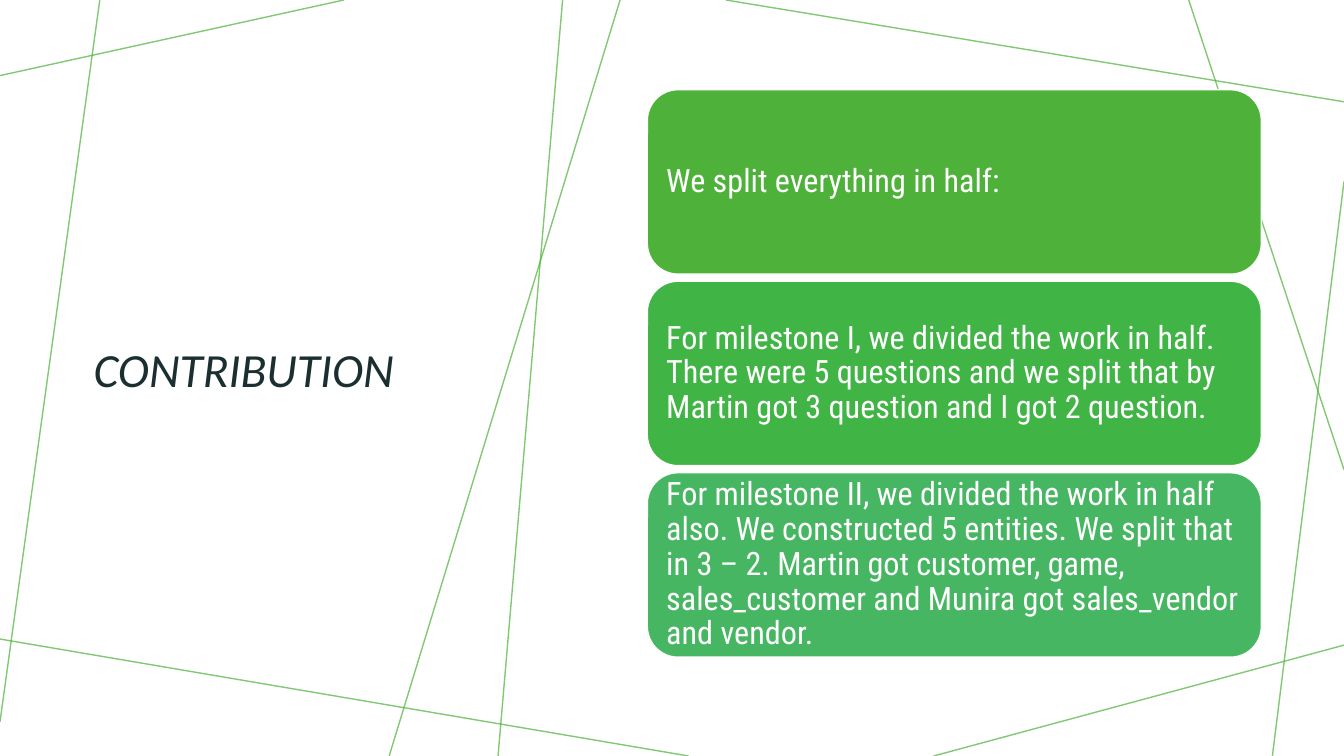
"""Build the contribution slide: a title, three stacked cards and crossing lines."""
from lxml import etree
from pptx import Presentation
from pptx.dml.color import RGBColor
from pptx.enum.shapes import MSO_CONNECTOR, MSO_SHAPE
from pptx.enum.text import MSO_ANCHOR, PP_ALIGN
from pptx.oxml.ns import qn
from pptx.util import Inches, Pt

STRAIGHT = MSO_CONNECTOR.STRAIGHT
ROUNDED = MSO_SHAPE.ROUNDED_RECTANGLE
MIDDLE = MSO_ANCHOR.MIDDLE
LEFT = PP_ALIGN.LEFT

GREEN = RGBColor(0x4E, 0xB2, 0x3A)
MID_GREEN = RGBColor(0x40, 0xB4, 0x45)
SEA_GREEN = RGBColor(0x47, 0xB6, 0x62)
WHITE = RGBColor(0xFF, 0xFF, 0xFF)
DARK = RGBColor(0x1B, 0x2F, 0x30)

TITLE = "CONTRIBUTION"
CARDS = [
    ("We split everything in half:", GREEN),
    ("For milestone I, we divided the work in half. There were 5 questions "
     "and we split that by Martin got 3 question and I got 2 question.", MID_GREEN),
    ("For milestone II, we divided the work in half also. We constructed "
     "5 entities. We split that in 3 – 2. Martin got customer, game, "
     "sales_customer and Munira got sales_vendor and vendor.", SEA_GREEN),
]
LINES = [
    (3.41, 0, 0, 0.75),
    (0.99, 0, 0, 7.16),
    (6.83, 7.5, 0, 6.34),
    (13.33, 6.4, 9.26, 7.5),
    (13.33, 1.8, 12.62, 7.5),
    (13.33, 4.66, 11.79, 0),
    (13.33, 1.01, 7.2, 0),
    (6.15, 0, 3.86, 7.5),
    (5.58, 0, 4.94, 7.5),
]
CARD_LEFT, CARD_TOP, CARD_WIDTH, CARD_HEIGHT = 6.42, 0.89, 6.09, 1.83
CARD_PITCH = 1.9


def add_line(page, ends):
    """Draw one thin, slightly transparent green line."""
    line = page.shapes.add_connector(STRAIGHT, *map(Inches, ends))
    line.line.color.rgb = GREEN
    line.line.width = Pt(1)
    properties = line._element.spPr
    color = properties.find(".//" + qn("a:srgbClr"))
    etree.SubElement(color, qn("a:alpha")).set("val", "70000")
    etree.SubElement(properties, qn("a:effectLst"))


def write(box, text, font_name, size, color, italic=False):
    """Set one left-aligned, vertically centred paragraph."""
    frame = box.text_frame
    frame.text = text
    frame.word_wrap = True
    frame.vertical_anchor = MIDDLE
    para = frame.paragraphs[0]
    para.alignment = LEFT
    para.line_spacing = 0.9
    font = para.runs[0].font
    font.name = font_name
    font.size = Pt(size)
    font.color.rgb = color
    font.italic = italic


def add_card(page, row, text, fill):
    """Add the rounded card for the given row."""
    card = page.shapes.add_shape(
        ROUNDED, Inches(CARD_LEFT), Inches(CARD_TOP + row * CARD_PITCH),
        Inches(CARD_WIDTH), Inches(CARD_HEIGHT))
    card.shadow.inherit = False
    card.fill.solid()
    card.fill.fore_color.rgb = fill
    card.line.color.rgb = WHITE
    card.line.width = Pt(1)
    frame = card.text_frame
    frame.margin_left = frame.margin_right = Inches(0.1)
    frame.margin_top = frame.margin_bottom = Inches(0.1)
    write(card, text, "Roboto Condensed", 23, WHITE)


def main():
    """Assemble and save the deck."""
    deck = Presentation()
    deck.slide_width, deck.slide_height = Inches(13.33), Inches(7.5)
    page = deck.slides.add_slide(deck.slide_layouts[6])
    for ends in LINES:
        add_line(page, ends)
    title = page.shapes.add_textbox(
        Inches(0.83), Inches(0.99), Inches(4.07), Inches(5.4))
    write(title, TITLE, "Calibri", 34, DARK, italic=True)
    for row, (text, fill) in enumerate(CARDS):
        add_card(page, row, text, fill)
    deck.save("out.pptx")


if __name__ == "__main__":
    main()
